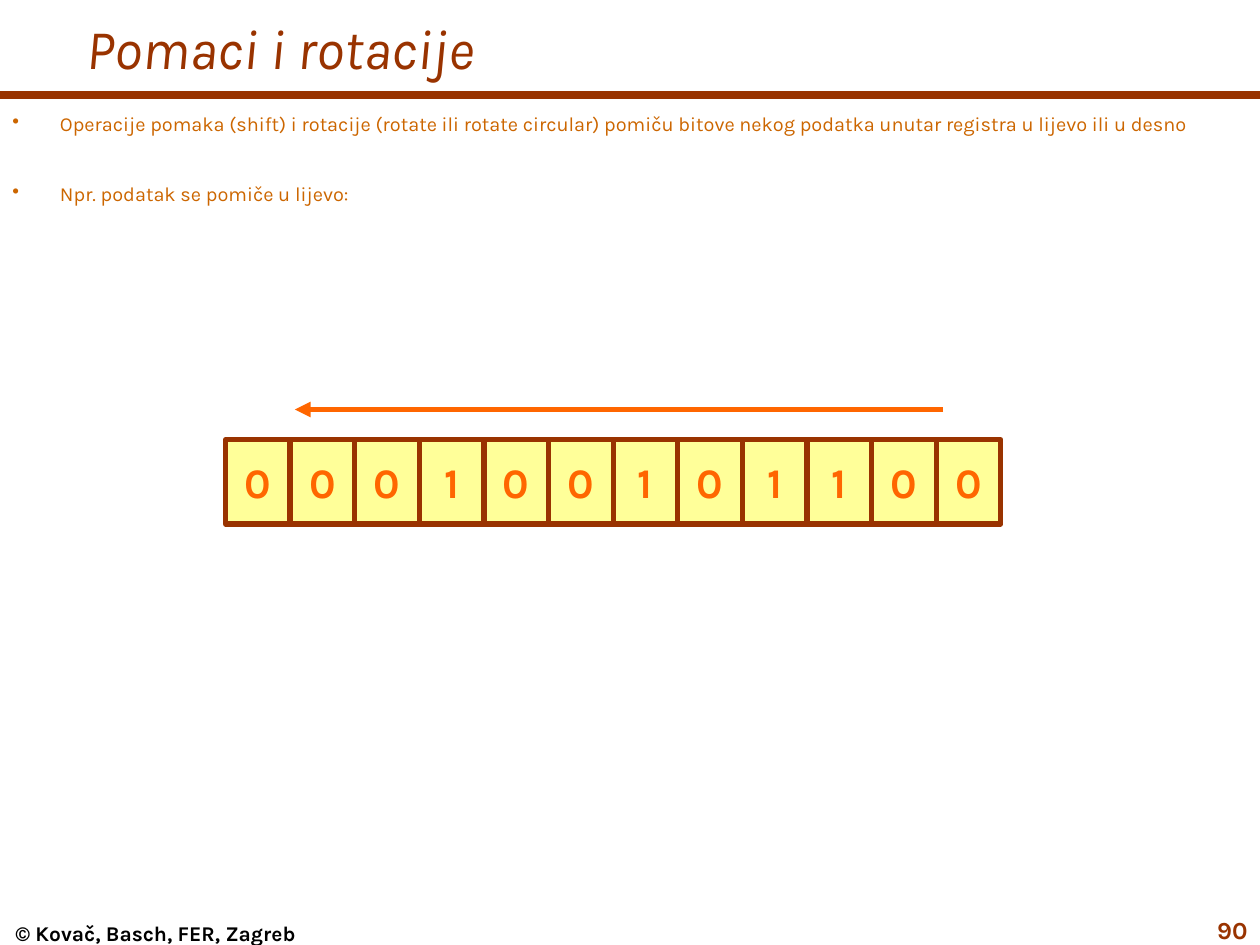
import pptx
import pptx.dml.color
import pptx.enum.shapes
import pptx.enum.text
import pptx.oxml.ns
import pptx.util
from lxml import etree

Pt = pptx.util.Pt
ALIGN = pptx.enum.text.PP_ALIGN
ANCHOR = pptx.enum.text.MSO_ANCHOR
FONT = "Karla"
BROWN, OCHRE, ORANGE, YELLOW, BLACK = "993300", "CC6600", "FF6600", "FFFF99", "000000"

BITS = "000100101100"
REGISTER_LEFT, REGISTER_TOP = 128.9, 251.3
CELL_WIDTH, CELL_HEIGHT = 36.92, 48.2

BULLETS = [
    "Operacije pomaka (shift) i rotacije (rotate ili rotate circular) pomiču "
    "bitove nekog podatka unutar registra u lijevo ili u desno",
    "Npr. podatak se pomiče u lijevo:",
]


def rgb(value):
    return pptx.dml.color.RGBColor.from_string(value)


def sub(parent, tag, **attrs):
    return etree.SubElement(parent, pptx.oxml.ns.qn(tag), attrs)


def set_frame(tf, inset_x=7.2, inset_y=3.6, anchor=ANCHOR.TOP):
    values = {
        "word_wrap": True,
        "vertical_anchor": anchor,
        "margin_left": Pt(inset_x),
        "margin_right": Pt(inset_x),
        "margin_top": Pt(inset_y),
        "margin_bottom": Pt(inset_y),
    }
    for name, value in values.items():
        setattr(tf, name, value)


def write(p, text, color, align=ALIGN.LEFT, **font):
    p.alignment = align
    r = p.add_run()
    r.text = text
    r.font.color.rgb = rgb(color)
    for name, value in {"name": FONT, **font}.items():
        setattr(r.font, name, value)


def add_text(s, box, **frame):
    """Add an empty text box and return its text frame."""
    tf = s.shapes.add_textbox(*map(Pt, box)).text_frame
    set_frame(tf, **frame)
    return tf


def add_bullets(s, box, items, indent=27.2, gap=26):
    tf = add_text(s, box)
    for i, item in enumerate(items):
        p = tf.add_paragraph() if i else tf.paragraphs[0]
        if i:
            p.space_before = Pt(gap)
        pPr = p._p.get_or_add_pPr()
        pPr.set("marL", str(Pt(indent)))
        pPr.set("indent", str(-Pt(indent)))
        sub(sub(pPr, "a:buClr"), "a:srgbClr", val=OCHRE)
        sub(pPr, "a:buChar", char="•")
        write(p, item, OCHRE, size=Pt(11.4))


def add_line(s, start, end, color, width, arrow=False):
    line = s.shapes.add_connector(
        pptx.enum.shapes.MSO_CONNECTOR.STRAIGHT, *map(Pt, (*start, *end)))
    line.line.color.rgb = rgb(color)
    line.line.width = Pt(width)
    if arrow:
        sub(line.line._get_or_add_ln(), "a:tailEnd", type="triangle")
    sub(line._element.spPr, "a:effectLst")


def add_bit(s, index, bit):
    left = REGISTER_LEFT + index * CELL_WIDTH
    sp = s.shapes.add_shape(
        pptx.enum.shapes.MSO_SHAPE.RECTANGLE,
        *map(Pt, (left, REGISTER_TOP, CELL_WIDTH, CELL_HEIGHT)))
    sp.shadow.inherit = False
    sp.fill.solid()
    sp.fill.fore_color.rgb = rgb(YELLOW)
    sp.line.color.rgb = rgb(BROWN)
    sp.line.width = Pt(3)
    set_frame(sp.text_frame, inset_x=0, anchor=ANCHOR.MIDDLE)
    write(sp.text_frame.paragraphs[0], bit, ORANGE, ALIGN.CENTER, size=Pt(24), bold=True)


def main():
    prs = pptx.Presentation()
    prs.slide_width, prs.slide_height = Pt(720), Pt(540)
    s = prs.slides.add_slide(prs.slide_layouts[6])

    add_line(s, (0, 54.5), (720, 54.5), BROWN, 4.5)
    title = add_text(s, (42.5, 0, 677.5, 54), anchor=ANCHOR.MIDDLE)
    write(title.paragraphs[0], "Pomaci i rotacije", BROWN, size=Pt(32), italic=True)
    add_bullets(s, (0, 60.5, 720, 77), BULLETS)

    add_line(s, (539, 234), (168.5, 234), ORANGE, 3, arrow=True)
    for index, bit in enumerate(BITS):
        add_bit(s, index, bit)

    footer = add_text(s, (0, 525.8, 177.8, 14.2), inset_x=0, inset_y=0)
    write(footer.paragraphs[0], "© Kovač, Basch, FER, Zagreb", BLACK, ALIGN.CENTER,
          size=Pt(12), bold=True)
    number = add_text(s, (660, 519.5, 60, 20))
    write(number.paragraphs[0], "90", BROWN, ALIGN.RIGHT, size=Pt(14), bold=True)

    prs.save("out.pptx")


if __name__ == "__main__":
    main()
